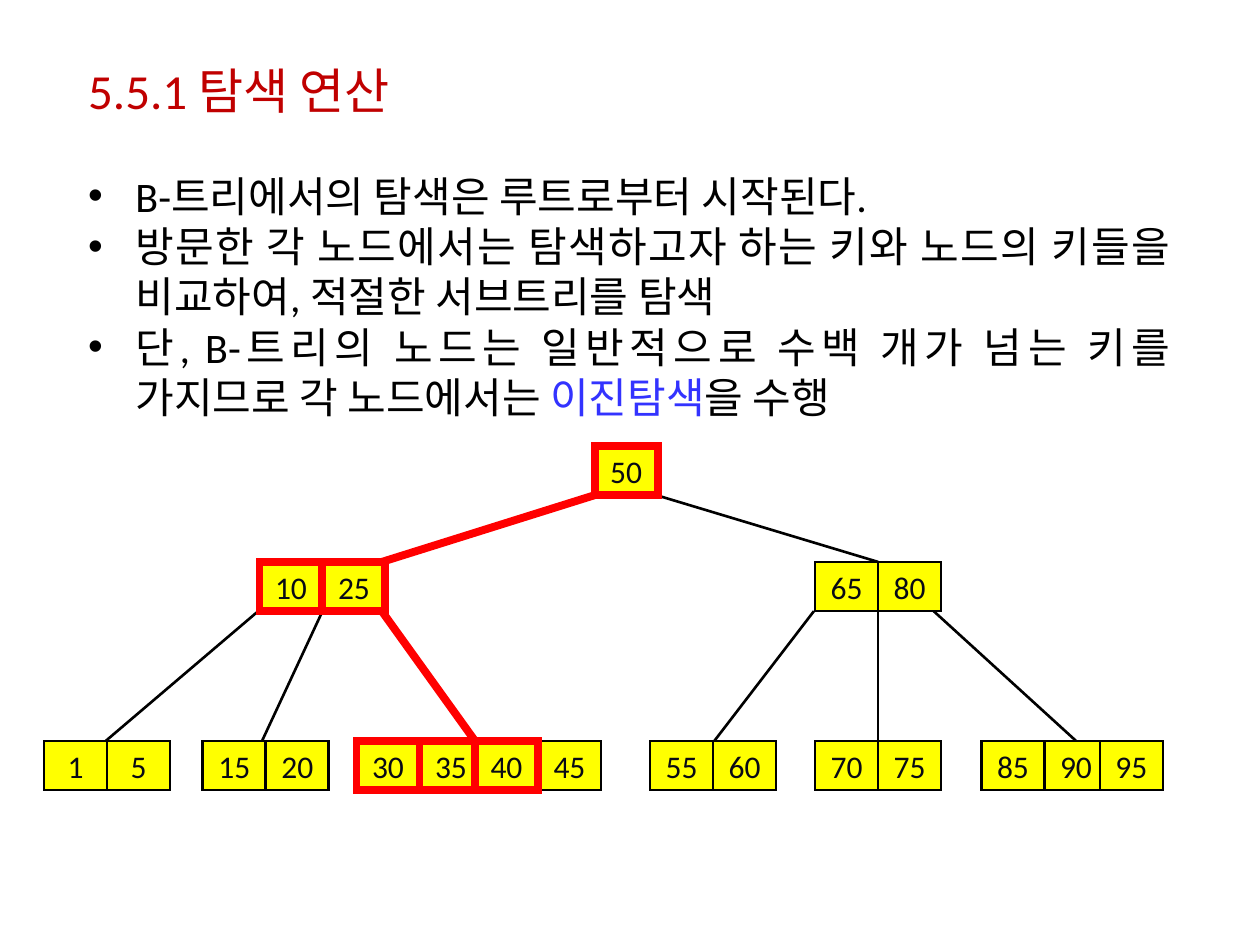
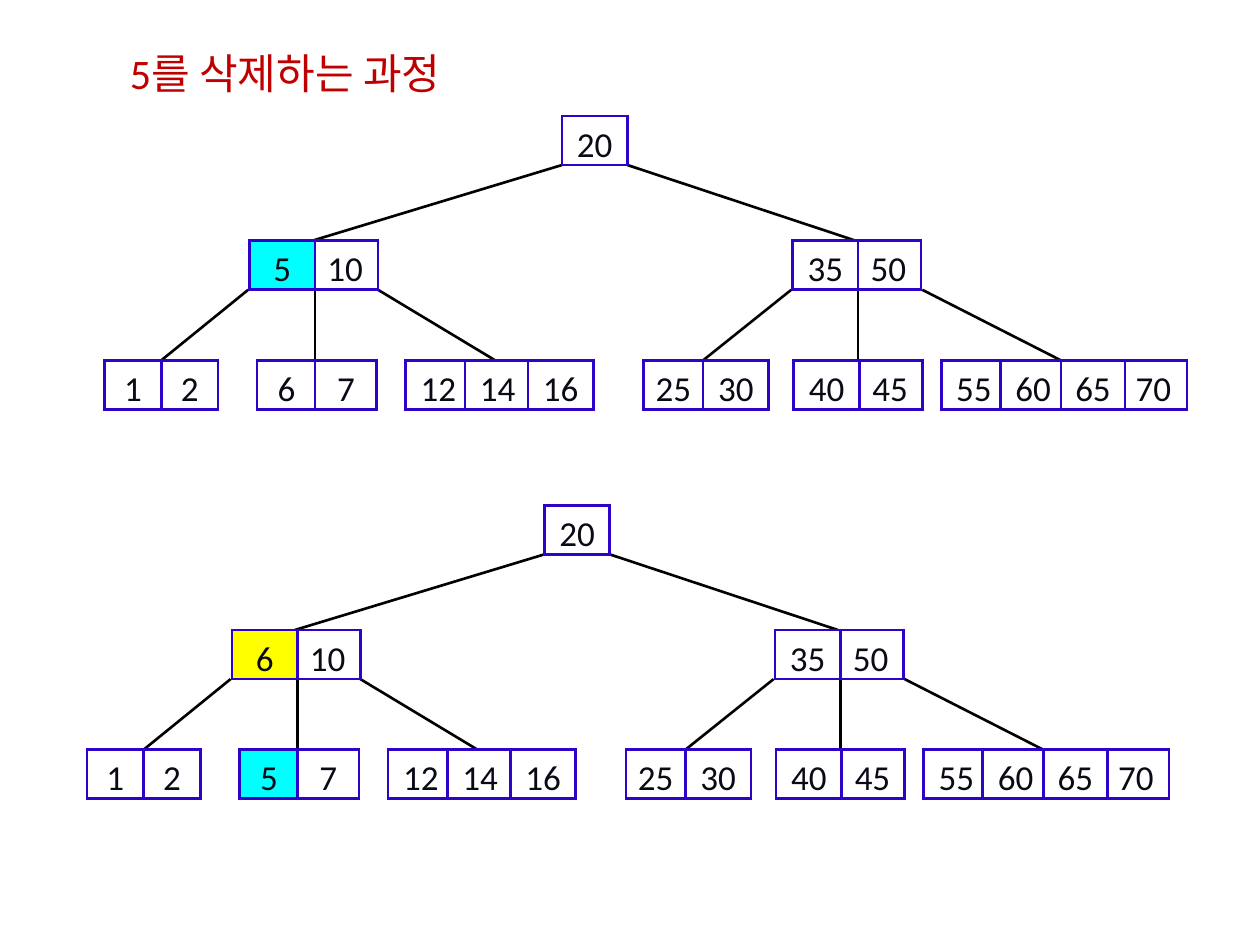
from lxml import etree
from pptx import Presentation
from pptx import util as u
from pptx.dml.color import RGBColor
from pptx.enum import shapes, text
from pptx.oxml import ns

WIDTH, HEIGHT = u.Inches(10), u.Inches(7.5)
COL, ROW = WIDTH / 100, HEIGHT / 75
CELL_ROWS = 3.9
FONT = "Calibri"
BLACK, INK, WHITE = "000000", "090A15", "FFFFFF"
TITLE_RED, PATH_RED, TERM_BLUE = "C00000", "FF0000", "3333FF"
YELLOW, CYAN, BORDER_BLUE = "FFFF00", "00FFFF", "2D03C9"


def rgb(code):
    return RGBColor.from_string(code)


def apply(target, **values):
    for name, value in values.items():
        setattr(target, name, value)


def set_font(font, size, code):
    apply(font, name=FONT, size=u.Pt(size))
    font.color.rgb = rgb(code)


def place(shape, left, top, width, height):
    apply(shape, left=round(left * COL), top=round(top * ROW),
          width=round(width * COL), height=round(height * ROW))


def set_line(line, code, weight):
    line.color.rgb = rgb(code)
    line.width = u.Pt(weight)


def heading(slide, box, words, size):
    title = slide.shapes.title
    place(title, *box)
    apply(title.text_frame, text=words, word_wrap=False,
          auto_size=text.MSO_AUTO_SIZE.NONE, vertical_anchor=text.MSO_ANCHOR.TOP)
    line = title.text_frame.paragraphs[0]
    line.alignment = text.PP_ALIGN.LEFT
    set_font(line.runs[0].font, size, TITLE_RED)


def bullets(slide, box, points):
    body = slide.placeholders[1]
    place(body, *box)
    frame = body.text_frame
    apply(frame, word_wrap=True, auto_size=text.MSO_AUTO_SIZE.NONE)
    for index, point in enumerate(points):
        line = frame.add_paragraph() if index else frame.paragraphs[0]
        apply(line, alignment=text.PP_ALIGN.JUSTIFY, space_before=u.Pt(0))
        for words, code in point:
            run = line.add_run()
            run.text = words
            set_font(run.font, 24, code)


def branch(slide, start, end, code, weight):
    x1, x2 = (round(point[0] * COL) for point in (start, end))
    y1, y2 = (round(point[1] * ROW) for point in (start, end))
    link = slide.shapes.add_connector(shapes.MSO_CONNECTOR.STRAIGHT, x1, y1, x2, y2)
    set_line(link.line, code, weight)
    etree.SubElement(link._element.spPr, ns.qn("a:effectLst"))


def key_cell(slide, box, key, size, fill, border, weight):
    cell = slide.shapes.add_shape(shapes.MSO_SHAPE.RECTANGLE, 0, 0, 0, 0)
    place(cell, *box)
    cell.shadow.inherit = False
    cell.fill.solid()
    cell.fill.fore_color.rgb = rgb(fill)
    set_line(cell.line, border, weight)
    outline = cell._element.spPr.find(ns.qn("a:ln"))
    etree.SubElement(outline, ns.qn("a:miter"), lim="800000")
    apply(cell.text_frame, text=key, word_wrap=False,
          vertical_anchor=text.MSO_ANCHOR.TOP)
    line = cell.text_frame.paragraphs[0]
    line.alignment = text.PP_ALIGN.CENTER
    set_font(line.runs[0].font, size, INK)


def tree(slide, left, top, levels, size, branches, cells):
    for level, parent, child, code, weight in branches:
        branch(slide, (left + parent, top + levels[level] + CELL_ROWS),
               (left + child, top + levels[level + 1]), code, weight)
    for level, offset, width, key, fill, border, weight in cells:
        box = (left + offset, top + levels[level], width, CELL_ROWS)
        key_cell(slide, box, key, size, fill, border, weight)


def search_tree(slide, left, top):
    plain, visited = (BLACK, 1.5), (PATH_RED, 4.5)
    branches = [
        (0, 43.7, 26.8, visited), (0, 48.6, 66.2, plain),
        (1, 17, 4.9, plain), (1, 22.1, 17.3, plain), (1, 26.8, 34.2, visited),
        (1, 61.1, 53.2, plain), (1, 66.2, 66.2, plain), (1, 70.6, 81.9, plain),
    ]
    nodes = [
        (2, 39.2, "45", plain), (0, 43.7, "50", visited),
        (1, 17.1, "10 25", visited), (1, 61.2, "65 80", plain),
        (2, 0, "1 5", plain), (2, 12.6, "15 20", plain),
        (2, 74.4, "85 90 95", plain), (2, 48.1, "55 60", plain),
        (2, 61.2, "70 75", plain), (2, 24.8, "30 35 40", visited),
    ]
    key_offsets = (0, 5, 9.4)
    cells = [(level, start + offset, 5, key, YELLOW, *look)
             for level, start, keys, look in nodes
             for offset, key in zip(key_offsets, keys.split())]
    tree(slide, left, top, (0, 9.2, 23.4), 18,
         [(*ends, *look) for *ends, look in branches], cells)


def deletion_tree(slide, left, top, inner_key, leaf_key, marks):
    branches = [
        (0, 36.3, 16.5), (0, 41.5, 59.6),
        (1, 11.4, 4.5), (1, 16.7, 16.7), (1, 21.7, 31),
        (1, 54.5, 47.5), (1, 59.8, 59.8), (1, 64.9, 75.9),
    ]
    keys = [
        (0, 36.3, 5.2, "20"),
        (1, 16.5, 5.2, "10"), (1, 11.5, 5.2, inner_key),
        (1, 59.6, 5.2, "50"), (1, 54.6, 5.2, "35"),
        (2, 0, 4.5, "1"), (2, 4.5, 4.5, "2"),
        (2, 12.1, 4.7, leaf_key), (2, 16.7, 4.9, "7"),
        (2, 23.9, 5.2, "12"), (2, 28.6, 5.2, "14"), (2, 33.6, 5.2, "16"),
        (2, 42.8, 4.7, "25"), (2, 47.5, 5.2, "30"),
        (2, 59.8, 5.1, "45"), (2, 54.7, 5.2, "40"),
        (2, 66.4, 5.2, "55"), (2, 80.6, 5.3, "70"),
        (2, 71.1, 5.2, "60"), (2, 75.9, 5.1, "65"),
    ]
    tree(slide, left, top, (0, 9.9, 19.4), 20,
         [(*ends, BLACK, 1.5) for ends in branches],
         [(*cell, marks.get(cell[-1], WHITE), BORDER_BLUE, 1.5) for cell in keys])


def search_slide(deck):
    slide = deck.slides.add_slide(deck.slide_layouts[1])
    heading(slide, (6, 4.3, 27.9, 5.7), "5.5.1 탐색 연산", 28)
    bullets(slide, (6, 13, 87.9, 21.2), [
        [("B-트리에서의 탐색은 루트로부터 시작된다.", BLACK)],
        [("방문한 각 노드에서는 탐색하고자 하는 키와 노드의 키들을 비교하여, "
          "적절한 서브트리를 탐색", BLACK)],
        [("단, B-트리의 노드는 일반적으로 수백 개가 넘는 키를 가지므로 "
          "각 노드에서는 ", BLACK), ("이진탐색", TERM_BLUE), ("을 수행", BLACK)],
    ])
    search_tree(slide, 3.5, 35.4)


def deletion_slide(deck):
    slide = deck.slides.add_slide(deck.slide_layouts[5])
    heading(slide, (9.3, 3.3, 28.8, 5), "5를 삭제하는 과정", 24)
    deletion_tree(slide, 8.3, 9.2, "5", "6", {"5": CYAN})
    deletion_tree(slide, 6.9, 40.1, "6", "5", {"6": YELLOW, "5": CYAN})


def main():
    deck = Presentation()
    apply(deck, slide_width=WIDTH, slide_height=HEIGHT)
    search_slide(deck)
    deletion_slide(deck)
    deck.save("out.pptx")


if __name__ == "__main__":
    main()
